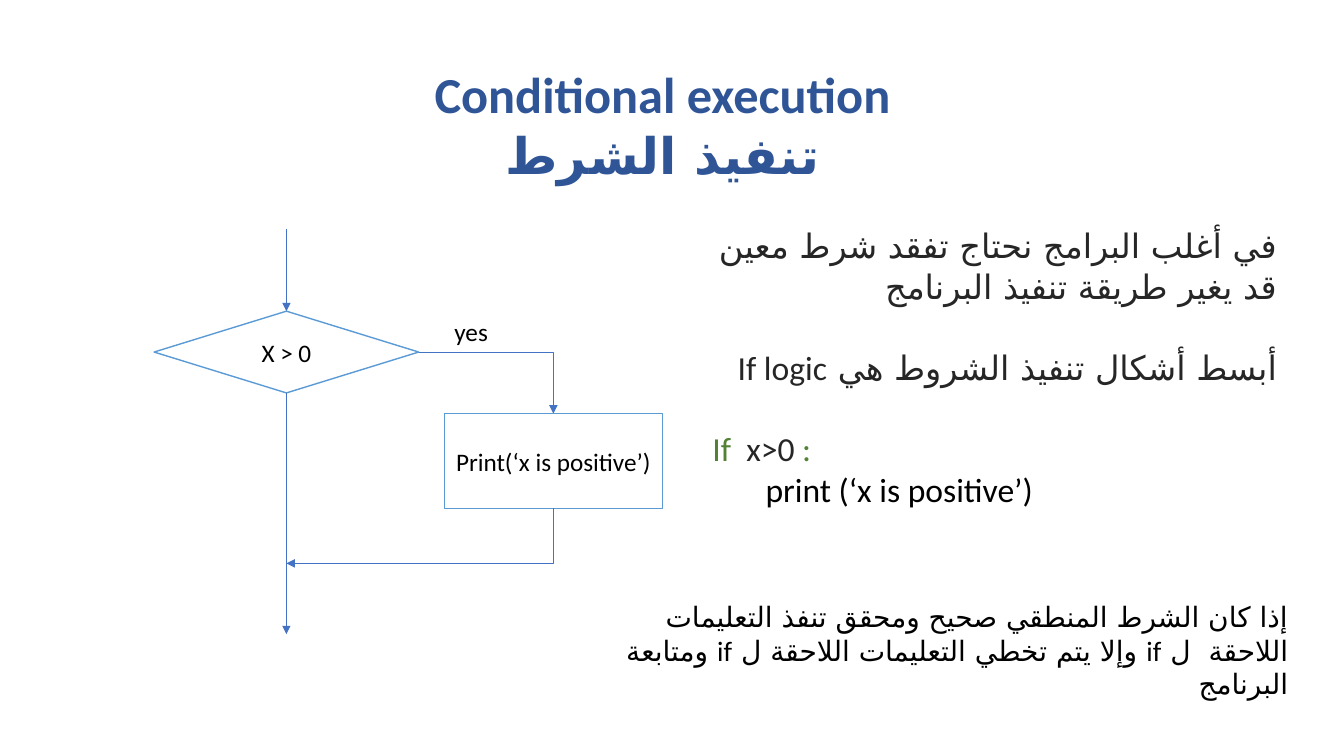
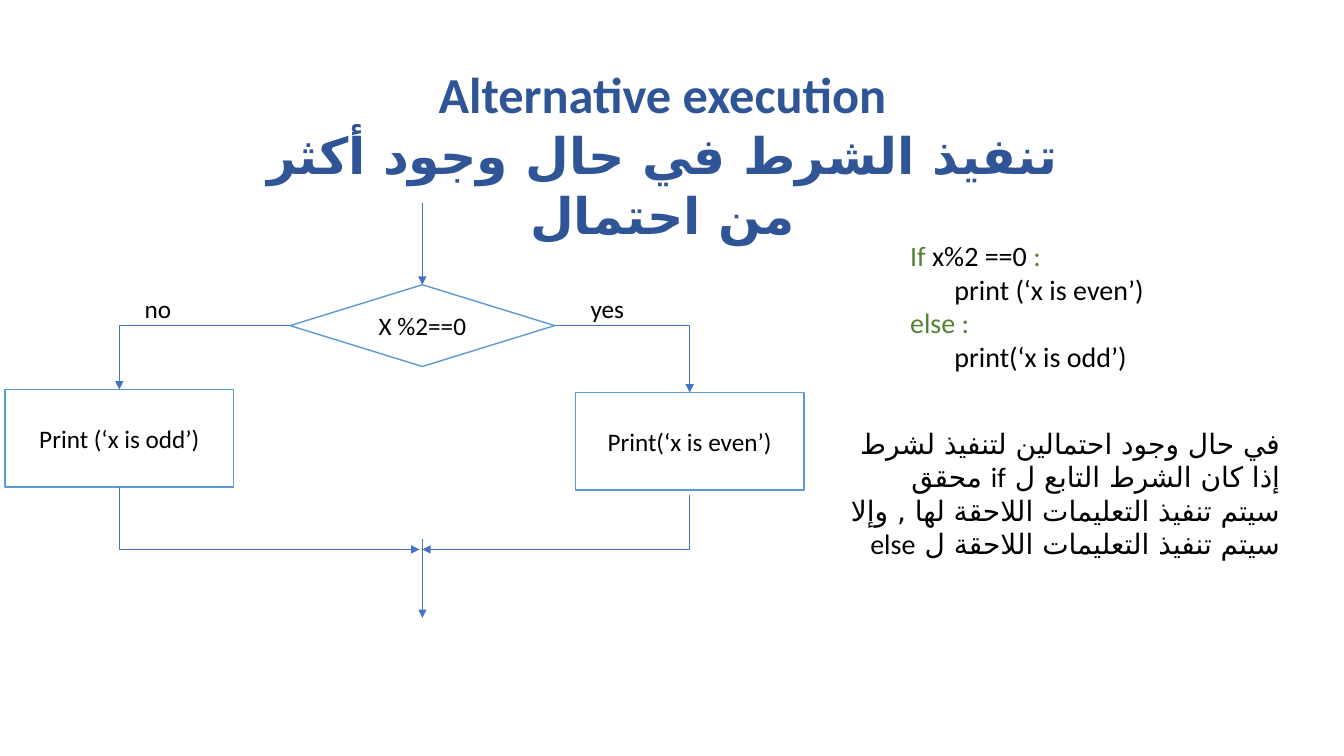
"""Build two slides on conditional and alternative execution."""
from lxml import etree
from pptx import Presentation
from pptx.dml.color import RGBColor
from pptx.enum.shapes import MSO_CONNECTOR, MSO_SHAPE
from pptx.enum.text import MSO_ANCHOR, MSO_AUTO_SIZE, PP_ALIGN
from pptx.oxml.ns import qn
from pptx.util import Pt

STRAIGHT, ELBOW = MSO_CONNECTOR.STRAIGHT, MSO_CONNECTOR.ELBOW
DIAMOND, RECTANGLE = MSO_SHAPE.DIAMOND, MSO_SHAPE.RECTANGLE
TOP, MIDDLE = MSO_ANCHOR.TOP, MSO_ANCHOR.MIDDLE
LEFT, CENTER, RIGHT = PP_ALIGN.LEFT, PP_ALIGN.CENTER, PP_ALIGN.RIGHT
NO_RESIZE = MSO_AUTO_SIZE.NONE

FONT, ARABIC_FONT = "Calibri", "DejaVu Sans"
BLACK, WHITE, GRAY = "000000", "FFFFFF", "262626"
NAVY, GREEN = "2F5597", "548235"
ARROW_BLUE, BORDER_BLUE = "4472C4", "5B9BD5"
TITLE_AREA = (177, 41.8, 592.6, 94.3)
DIAMOND_SIZE = (189, 58.4)
LABEL_SIZE = (75.6, 28.8)
TITLE_FORMAT = {"size": Pt(36), "bold": True}
LABEL_FORMAT = {"size": Pt(18)}
BODY_FORMAT = {"size": Pt(20)}
LEAD_FORMAT = {"size": Pt(24)}
LEAD_GAP = 29.3


def color(value):
    """Turn a hex string into a colour."""
    return RGBColor.from_string(value)


def add_span(para, text, tint, font_format):
    """Add a formatted run, with its own font for Arabic script."""
    span = para.add_run()
    span.text = text
    for name, value in {"name": FONT, **font_format}.items():
        setattr(span.font, name, value)
    span.font.color.rgb = color(tint)
    properties = span._r.get_or_add_rPr()
    etree.SubElement(properties, qn("a:cs"), typeface=ARABIC_FONT)


def fill_text(box, paragraphs, font_format, anchor=TOP):
    """Write paragraphs of (alignment, rtl, space before, spans) into a shape."""
    frame = box.text_frame
    settings = {"word_wrap": True, "auto_size": NO_RESIZE, "vertical_anchor": anchor}
    for name, value in settings.items():
        setattr(frame, name, value)
    for index, (alignment, rtl, gap, spans) in enumerate(paragraphs):
        para = frame.add_paragraph() if index else frame.paragraphs[0]
        para.alignment = alignment
        if rtl:
            para._p.get_or_add_pPr().set("rtl", "1")
        if gap:
            para.space_before = Pt(gap)
        for text, tint in spans:
            add_span(para, text, tint, font_format)


def add_page(deck, *title_lines):
    """Add a page with its centred title lines."""
    page = deck.slides.add_slide(deck.slide_layouts[5])
    title = page.shapes.title
    title.left, title.top, title.width, title.height = map(Pt, TITLE_AREA)
    paragraphs = [(CENTER, False, 0, [(line, NAVY)]) for line in title_lines]
    fill_text(title, paragraphs, TITLE_FORMAT)
    return page


def add_text(page, area, paragraphs, font_format):
    """Add a wrapping text box."""
    box = page.shapes.add_textbox(*map(Pt, area))
    fill_text(box, paragraphs, font_format)


def add_label(page, left, top, text):
    """Add a branch label."""
    paragraphs = [(LEFT, False, 0, [(text, BLACK)])]
    add_text(page, (left, top, *LABEL_SIZE), paragraphs, LABEL_FORMAT)


def add_node(page, kind, area, text):
    """Add a white flowchart node with centred text."""
    node = page.shapes.add_shape(kind, *map(Pt, area))
    node.shadow.inherit = False
    node.fill.solid()
    node.fill.fore_color.rgb = color(WHITE)
    node.line.color.rgb = color(BORDER_BLUE)
    node.line.width = Pt(1)
    fill_text(node, [(CENTER, False, 0, [(text, BLACK)])], LABEL_FORMAT, MIDDLE)


def add_arrow(page, start, end, kind=STRAIGHT):
    """Add a thin connector with an arrowhead at its end."""
    arrow = page.shapes.add_connector(kind, *map(Pt, (*start, *end)))
    arrow.line.color.rgb = color(ARROW_BLUE)
    arrow.line.width = Pt(0.5)
    etree.SubElement(arrow.line._get_or_add_ln(), qn("a:tailEnd"), type="triangle")
    etree.SubElement(arrow._element.spPr, qn("a:effectLst"))
    return arrow


def add_branch(page, start, end):
    """Add an arrow that runs sideways and then down."""
    arrow = add_arrow(page, start, end, ELBOW)
    arrow._element.spPr.find(qn("a:prstGeom")).set("prst", "bentConnector2")
    return arrow


def add_merge(page, start, end):
    """Add an arrow that runs down and then sideways, as a quarter-turned branch."""
    middle_x, middle_y = (start[0] + end[0]) / 2, (start[1] + end[1]) / 2
    across, down = start[0] - middle_x, start[1] - middle_y
    turned_start = (middle_x + down, middle_y - across)
    turned_end = (middle_x - down, middle_y + across)
    arrow = add_branch(page, turned_start, turned_end)
    arrow._element.spPr.find(qn("a:xfrm")).set("rot", "5400000")


def add_decision(page, center, top, text, entry):
    """Add the entry arrow and diamond, and return its left, right and bottom tips."""
    width, height = DIAMOND_SIZE
    left, middle = center - width / 2, top + height / 2
    add_arrow(page, (center, entry), (center, top))
    add_node(page, DIAMOND, (left, top, width, height), text)
    return (left, middle), (left + width, middle), (center, top + height)


def build_conditional(deck):
    """Build the page on a single condition."""
    page = add_page(deck, "Conditional execution", "تنفيذ الشرط")
    lead = [
        (RIGHT, False, 0,
         [("في أغلب البرامج نحتاج تفقد شرط معين قد يغير طريقة تنفيذ البرنامج", GRAY)]),
        (RIGHT, True, LEAD_GAP, [("أبسط أشكال تنفيذ الشروط هي If logic", GRAY)]),
        (LEFT, False, LEAD_GAP, [("If", GREEN), ("  x>0 ", GRAY), (":", GREEN)]),
        (LEFT, False, 0, [("       print (‘x is positive’)", BLACK)]),
    ]
    add_text(page, (501.8, 157.3, 417.6, 239.8), lead, LEAD_FORMAT)

    center, box_center, box_top, box_bottom, merge = 204.6, 395.3, 295.4, 363.2, 402.4
    _, yes_tip, bottom_tip = add_decision(page, center, 222.3, "X > 0", 163.9)
    add_branch(page, yes_tip, (box_center, box_top))
    add_node(page, RECTANGLE, (317.5, box_top, 155.6, box_bottom - box_top),
             "Print(‘x is positive’)")
    add_merge(page, (box_center, box_bottom), (center, merge))
    add_arrow(page, bottom_tip, (center, 453))
    add_label(page, 317.5, 222.5, "yes")

    conclusion = ("إذا كان الشرط المنطقي صحيح ومحقق تنفذ التعليمات اللاحقة  ل if "
                  "وإلا يتم تخطي التعليمات اللاحقة ل if ومتابعة البرنامج")
    add_text(page, (425.5, 424.8, 501.8, 80),
             [(RIGHT, True, 0, [(conclusion, BLACK)])], BODY_FORMAT)


def build_alternative(deck):
    """Build the page on two alternatives."""
    page = add_page(deck, "Alternative execution",
                    "تنفيذ الشرط في حال وجود أكثر من احتمال")
    center, merge, box_width, box_height = 301.7, 392.5, 163.4, 69.8
    no_tip, yes_tip, _ = add_decision(page, center, 203.4, "X %2==0", 144.7)
    branches = [
        ("no", 96.3, no_tip, 3.6, 278.2, 0, center - 2, "Print (‘x is odd’)"),
        ("yes", 414.7, yes_tip, 410.9, 280.4, 3.4, center, "Print(‘x is even’)"),
    ]
    for label, label_left, tip, left, top, gap, merge_end, text in branches:
        box_center = left + box_width / 2
        add_branch(page, tip, (box_center, top))
        add_node(page, RECTANGLE, (left, top, box_width, box_height), text)
        add_merge(page, (box_center, top + box_height + gap), (merge_end, merge))
        add_label(page, label_left, 206, label)
    add_arrow(page, (center, 385.2), (center, 441.4))

    code = [
        [("If", GREEN), (" x%2 ==0 ", BLACK), (":", GREEN)],
        [("       print (‘x is even’)", BLACK)],
        [("else :", GREEN)],
        [("       print(‘x is odd’)", BLACK)],
    ]
    add_text(page, (643, 167, 281.5, 126),
             [(LEFT, False, 0, spans) for spans in code], BODY_FORMAT)
    explanation = [
        "في حال وجود احتمالين لتنفيذ لشرط",
        "إذا كان الشرط التابع ل if محقق سيتم تنفيذ التعليمات اللاحقة لها , "
        "وإلا سيتم تنفيذ التعليمات اللاحقة ل else",
    ]
    add_text(page, (596.9, 300.8, 324.7, 104.4),
             [(RIGHT, True, 0, [(line, BLACK)]) for line in explanation], BODY_FORMAT)


def main():
    """Build and save the deck."""
    deck = Presentation()
    deck.slide_width, deck.slide_height = Pt(960), Pt(540)
    build_conditional(deck)
    build_alternative(deck)
    deck.save("out.pptx")


if __name__ == "__main__":
    main()
